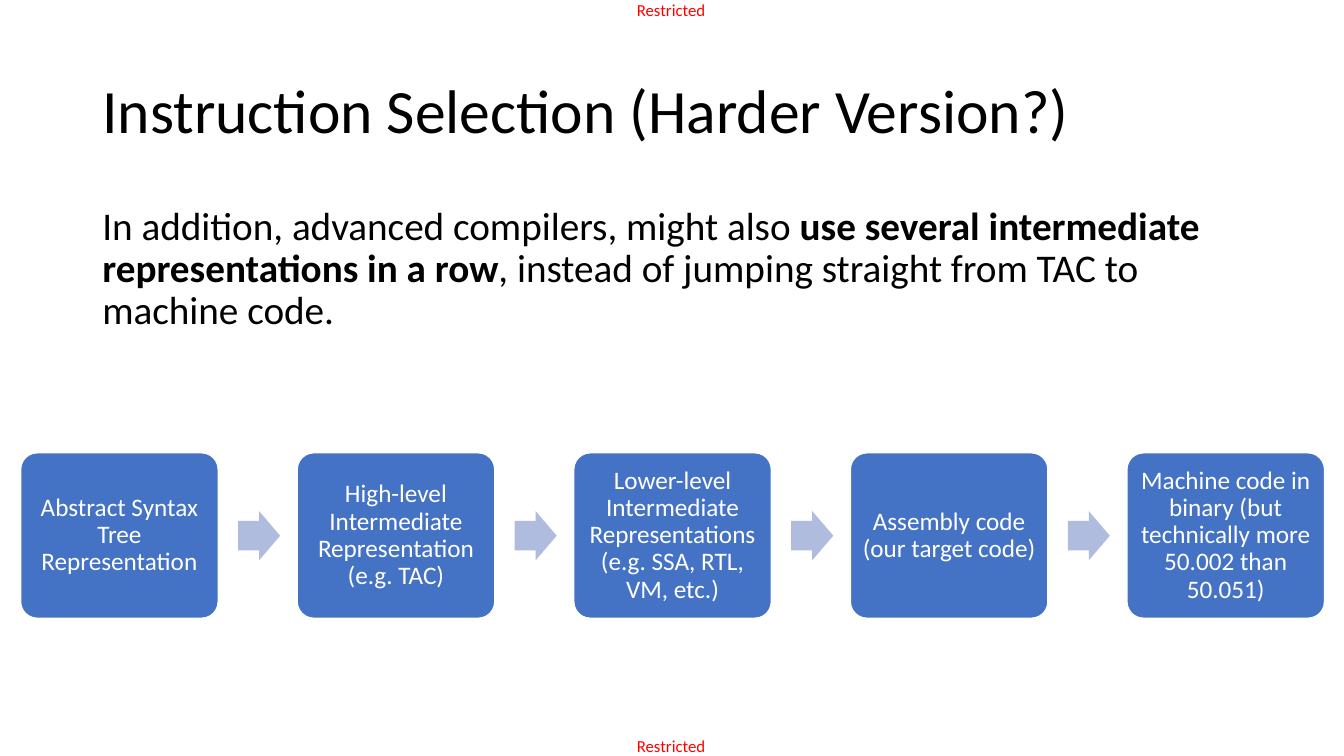
"""Build the slide on instruction selection with a chain of code forms."""
from pptx import Presentation
from pptx.dml.color import RGBColor as RGB
from pptx.enum.shapes import MSO_SHAPE as Kind
from pptx.enum.text import MSO_ANCHOR as Anchor, PP_ALIGN as Align
from pptx.util import Cm, Pt


def paint(part, code):
    part.fill.solid()
    part.fill.fore_color.rgb = RGB.from_string(code)


def write(shape, runs, size, code, pad, anchor=Anchor.TOP, align=Align.LEFT, space=0.9, wrap=True):
    frame = shape.text_frame
    frame.word_wrap = wrap
    frame.vertical_anchor = anchor
    frame.margin_left = frame.margin_right = Cm(pad[0])
    frame.margin_top = frame.margin_bottom = Cm(pad[1])
    para = frame.paragraphs[0]
    para.alignment = align
    para.line_spacing = space
    for text, bold in runs:
        for i, line in enumerate(text.split("\n")):
            if i:
                para.add_line_break()
            run = para.add_run()
            run.text = line
            font = run.font
            font.name = "Calibri"
            font.size = Pt(size)
            font.bold = bold
            paint(font, code)


deck = Presentation()
deck.slide_width = Cm(33.87)
deck.slide_height = Cm(19.05)
slide = deck.slides.add_slide(deck.slide_layouts[6])
shapes = slide.shapes

for top in (0, 18.54):
    label = shapes.add_textbox(Cm(16.05), Cm(top), Cm(1.85), Cm(0.51))
    write(label, [("Restricted", False)], 12, "FF0000", (0, 0), space=1.0, wrap=False)

title = shapes.add_textbox(Cm(2.33), Cm(1.01), Cm(29.21), Cm(3.68))
write(title, [("Instruction Selection (Harder Version?)", False)], 44, "000000",
      (0.25, 0.13), Anchor.MIDDLE)

body = shapes.add_textbox(Cm(2.33), Cm(5.07), Cm(29.21), Cm(13.97))
write(body, [
    ("In addition, advanced compilers, might also ", False),
    ("use several intermediate representations in a row", True),
    (", instead of jumping straight from TAC to machine code.", False),
], 28, "000000", (0.25, 0.13))

steps = [
    "Abstract Syntax Tree Representation",
    "High-level Intermediate Representation\n(e.g. TAC)",
    "Lower-level Intermediate Representations\n(e.g. SSA, RTL, VM, etc.)",
    "Assembly code (our target code)",
    "Machine code in binary (but technically more 50.002 than 50.051)",
]
for i, step in enumerate(steps):
    left = 0.52 + 6.97 * i
    box = shapes.add_shape(Kind.ROUNDED_RECTANGLE, Cm(left), Cm(11.41), Cm(4.98), Cm(4.17))
    box.adjustments[0] = 0.1
    box.shadow.inherit = False
    paint(box, "4472C4")
    paint(box.line, "FFFFFF")
    box.line.width = Pt(1)
    write(box, [(step, False)], 18, "FFFFFF", (0.18, 0.18), Anchor.MIDDLE, Align.CENTER)
    if i < len(steps) - 1:
        arrow = shapes.add_shape(Kind.RIGHT_ARROW, Cm(left + 5.48), Cm(12.88), Cm(1.06), Cm(1.24))
        arrow.adjustments[0] = 0.6
        arrow.adjustments[1] = 0.5
        arrow.shadow.inherit = False
        paint(arrow, "B0BCDE")
        arrow.line.fill.background()

deck.save("out.pptx")
